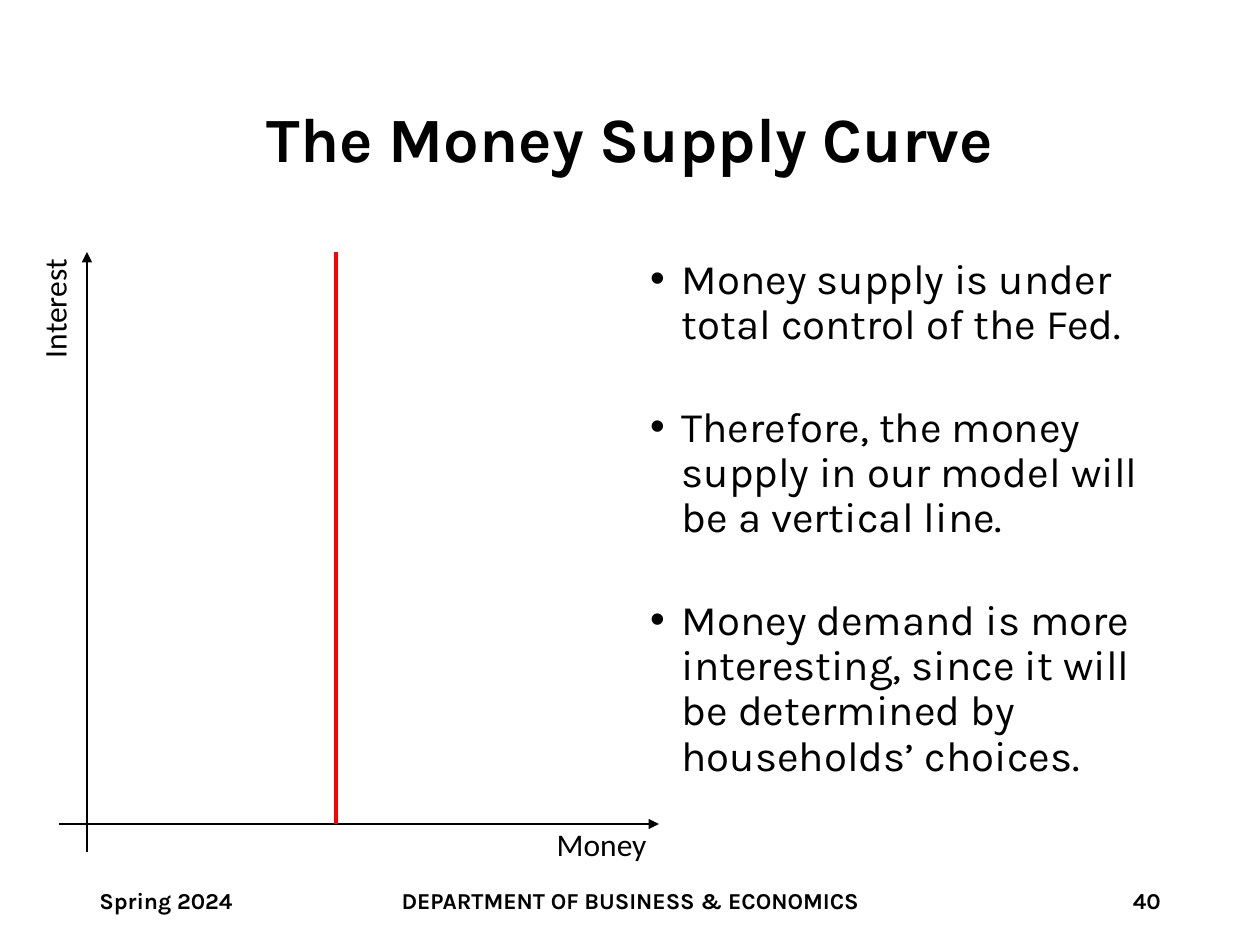
"""Build the slide on the money supply curve."""
from lxml import etree
from pptx import Presentation
from pptx.dml.color import RGBColor
from pptx.enum.shapes import MSO_CONNECTOR
from pptx.enum.text import MSO_ANCHOR, MSO_AUTO_SIZE, PP_ALIGN
from pptx.oxml.ns import qn
from pptx.util import Pt

LINE = MSO_CONNECTOR.STRAIGHT
TOP, MIDDLE = MSO_ANCHOR.TOP, MSO_ANCHOR.MIDDLE
LEFT, CENTER, RIGHT = PP_ALIGN.LEFT, PP_ALIGN.CENTER, PP_ALIGN.RIGHT
FIXED = MSO_AUTO_SIZE.NONE

BLACK = RGBColor(0, 0, 0)
RED = RGBColor(255, 0, 0)
MAIN, LABEL = "Karla", "Calibri"

ITEMS = [
    "Money supply is under total control of the Fed.",
    "Therefore, the money supply in our model will be a vertical line.",
    "Money demand is more interesting, since it will be determined by households’ choices.",
]
FOOTER = [
    ("Spring 2024", 49.68, 162, LEFT),
    ("DEPARTMENT OF BUSINESS & ECONOMICS", 133.2, 453.6, CENTER),
    ("40", 508.32, 162, RIGHT),
]


class Deck:
    """Hold the style and the current slide."""

    def __init__(self):
        self.prs = Presentation()
        self.prs.slide_width, self.prs.slide_height = Pt(720), Pt(540)
        self.slide = self.prs.slides.add_slide(self.prs.slide_layouts[1])

    def place(self, shape, box, anchor):
        shape.left, shape.top, shape.width, shape.height = map(Pt, box)
        frame = shape.text_frame
        frame.auto_size = FIXED
        frame.word_wrap = True
        frame.vertical_anchor = anchor
        return frame

    def style(self, para, size, face=MAIN, bold=False):
        for run in para.runs:
            font = run.font
            font.name, font.size, font.bold = face, Pt(size), bold
            font.color.rgb = BLACK

    def title(self, text, box):
        frame = self.place(self.slide.shapes.title, box, MIDDLE)
        frame.text = text
        para = frame.paragraphs[0]
        para.alignment, para.line_spacing = CENTER, 0.9
        self.style(para, 36, bold=True)

    def bullets(self, items, box, gap):
        frame = self.place(self.slide.placeholders[1], box, TOP)
        frame.text = "\n".join(items)
        for i, para in enumerate(frame.paragraphs):
            props = para._p.get_or_add_pPr()
            props.set("marL", str(Pt(18)))
            props.set("indent", str(-Pt(18)))
            para.line_spacing = 0.9
            para.space_before = Pt(gap if i else 0)
            self.style(para, 24)

    def text(self, text, box, size, face=MAIN, bold=False, align=LEFT, anchor=TOP):
        shape = self.slide.shapes.add_textbox(*map(Pt, box))
        frame = self.place(shape, box, anchor)
        frame.text = text
        para = frame.paragraphs[0]
        para.alignment = align
        self.style(para, size, face, bold)
        return frame

    def line(self, ends, color, width, arrow=False):
        line = self.slide.shapes.add_connector(LINE, *map(Pt, ends))
        line.line.color.rgb, line.line.width = color, Pt(width)
        props = line._element.spPr
        if arrow:
            tip = etree.SubElement(props.find(qn("a:ln")), qn("a:tailEnd"))
            tip.set("type", "triangle")
        etree.SubElement(props, qn("a:effectLst"))


def main():
    deck = Deck()
    deck.title("The Money Supply Curve", (49.68, 28.8, 620.64, 104.4))
    deck.bullets(ITEMS, (364.32, 144, 313.2, 342.72), 32.5)
    for text, left, width, align in FOOTER:
        deck.text(text, (left, 500.4, width, 28.8), 13, bold=True, align=align, anchor=MIDDLE)
    deck.line((49.68, 486.72, 49.68, 144), BLACK, 1.5, arrow=True)
    deck.line((33.84, 470.88, 376.56, 470.88), BLACK, 1.5, arrow=True)
    deck.line((192.24, 144, 192.24, 470.88), RED, 2.25)
    rate = deck.text("Interest", (16.56, 147.6, 36, 64.08), 18, LABEL)
    rate.word_wrap = False
    rate._txBody.bodyPr.set("vert", "vert270")
    deck.text("Money", (311.04, 468, 66.24, 28.8), 18, LABEL)
    deck.prs.save("out.pptx")


if __name__ == "__main__":
    main()
